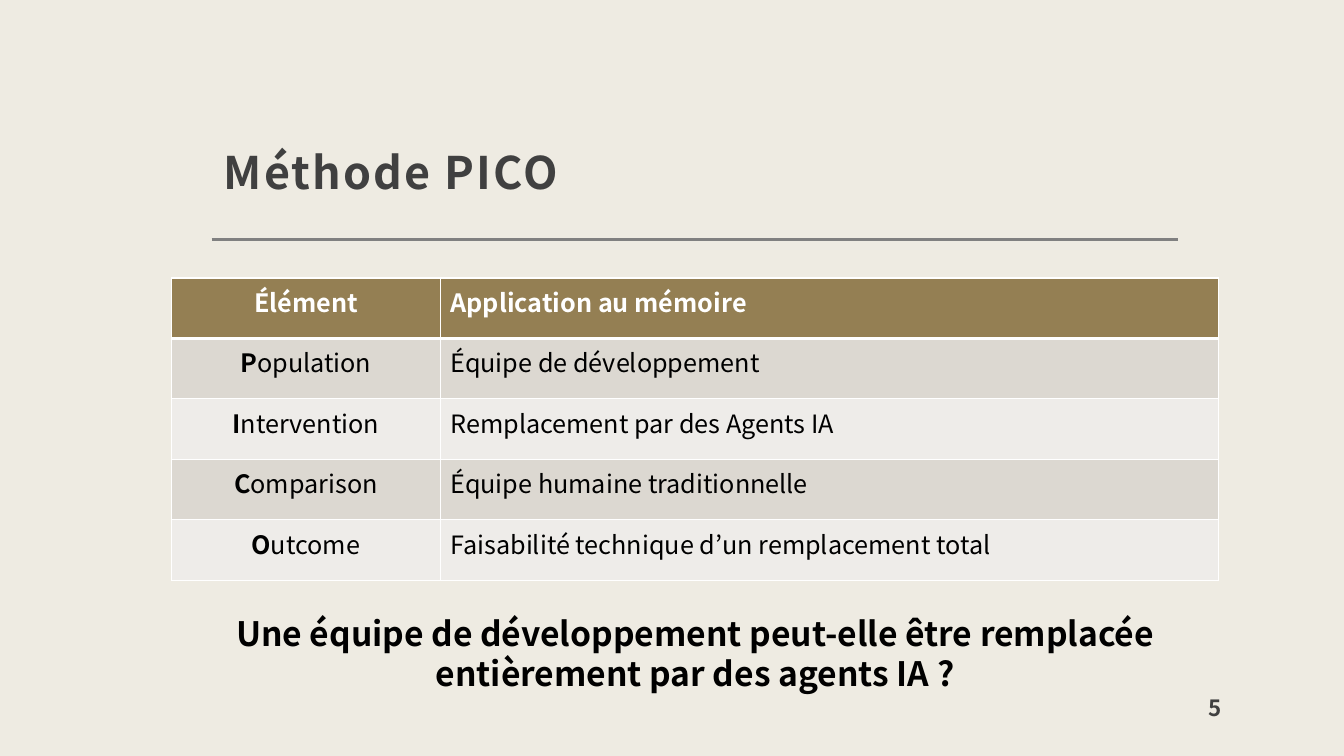
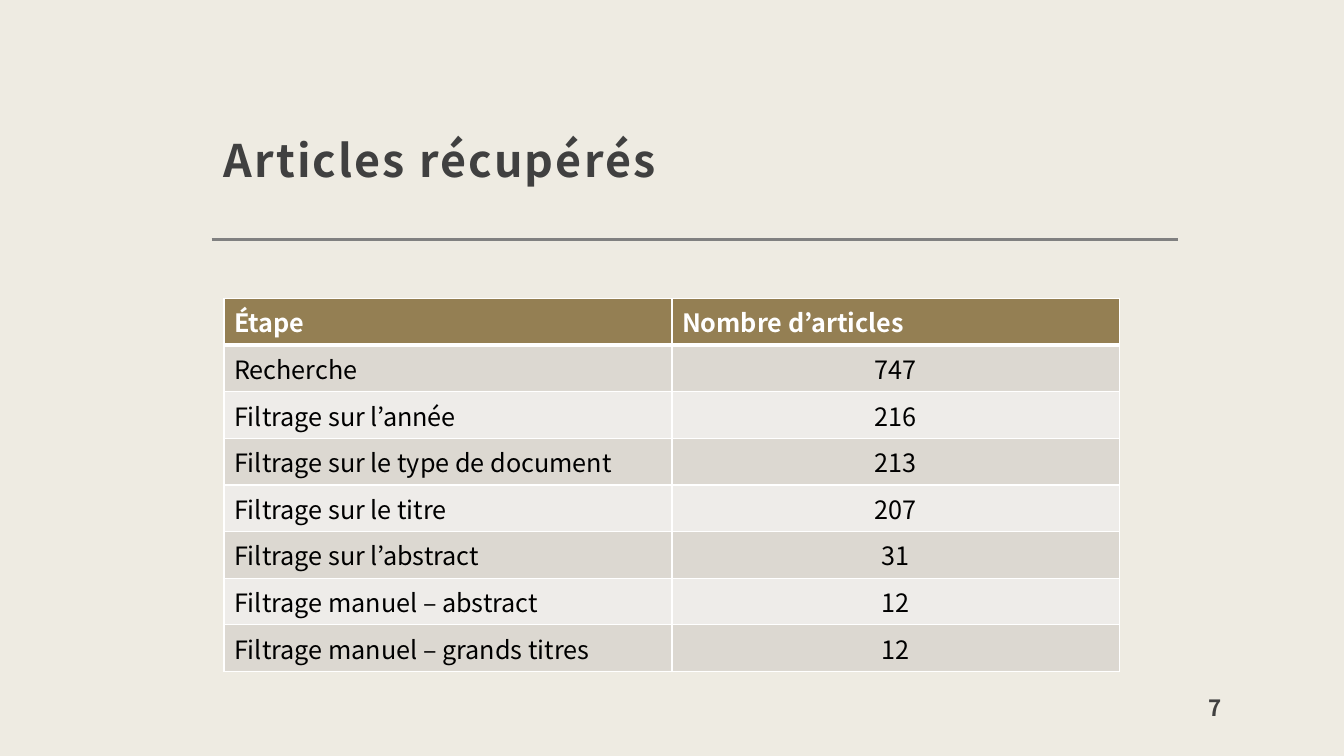
from lxml import etree
from pptx import Presentation, util as u
from pptx.dml.color import RGBColor
from pptx.enum import shapes, text
from pptx.oxml import ns

Pt = u.Pt
HUES = {"page": "EEEBE2", "rule": "808080", "title": "404040", "head": "947F53",
        "odd": "DCD8D1", "even": "EEECE9", "white": "FFFFFF", "black": "000000"}
FONT = "Noto Sans CJK JP"
LEFT, MID = text.PP_ALIGN.LEFT, text.PP_ALIGN.CENTER
PAD = {"margin_left": Pt(8.64), "margin_top": Pt(8.64),
       "margin_right": Pt(8.64), "margin_bottom": Pt(7.2),
       "vertical_anchor": text.MSO_ANCHOR.BOTTOM}
PICO = [("Élément", "Application au mémoire"),
        ("Population", "Équipe de développement"),
        ("Intervention", "Remplacement par des Agents IA"),
        ("Comparison", "Équipe humaine traditionnelle"),
        ("Outcome", "Faisabilité technique d’un remplacement total")]
STEPS = [("Étape", "Nombre d’articles"),
         ("Recherche", "747"),
         ("Filtrage sur l’année", "216"),
         ("Filtrage sur le type de document", "213"),
         ("Filtrage sur le titre", "207"),
         ("Filtrage sur l’abstract", "31"),
         ("Filtrage manuel – abstract", "12"),
         ("Filtrage manuel – grands titres", "12")]


def hue(name):
    """Return the named colour."""
    return RGBColor.from_string(HUES[name])


def apply(item, style):
    """Set each attribute of the style on the item."""
    for key, value in style.items():
        setattr(item, key, value)


def write(para, words, size, tint, bold=False):
    """Add a styled run to a paragraph."""
    run = para.add_run()
    run.text = words
    apply(run.font, {"name": FONT, "size": Pt(size), "bold": bold})
    run.font.color.rgb = hue(tint)
    return run


def label(slide, box, words, size, tint, frame=None, para=None):
    """Place a bold text box."""
    body = slide.shapes.add_textbox(*map(Pt, box)).text_frame
    apply(body, {"word_wrap": True, **(frame or {})})
    line = body.paragraphs[0]
    apply(line, para or {})
    return write(line, words, size, tint, True)


def border(cell, widths):
    """Draw white cell borders, given widths by side."""
    props = cell._tc.get_or_add_tcPr()
    for spot, (side, width) in enumerate(widths.items()):
        edge = etree.Element(ns.qn("a:ln" + side), w=str(Pt(width)))
        fill = etree.SubElement(edge, ns.qn("a:solidFill"))
        etree.SubElement(fill, ns.qn("a:srgbClr"), val=HUES["white"])
        props.insert(spot, edge)


def grid(slide, box, cols, rows, aligns, lead=False):
    """Place a banded table; lead puts first letters in bold."""
    table = slide.shapes.add_table(len(rows), len(cols), *map(Pt, box)).table
    for col, width in zip(table.columns, cols):
        col.width = Pt(width)
    for r, row in enumerate(rows):
        table.rows[r].height = Pt(box[3] / len(rows))
        band = "odd" if r % 2 else "even"
        for c, words in enumerate(row):
            cell = table.cell(r, c)
            cell.fill.solid()
            cell.fill.fore_color.rgb = hue(band if r else "head")
            border(cell, {"L": 1, "R": 1, "T": 3 if r == 1 else 1,
                          "B": 1 if r else 3})
            para = cell.text_frame.paragraphs[0]
            para.alignment = aligns[c] if r or lead else LEFT
            if not r:
                write(para, words, 18, "white", True)
            elif lead and c == 0:
                write(para, words[0], 18, "black", True)
                write(para, words[1:], 18, "black")
            else:
                write(para, words, 18, "black")


def base(deck, title, top, page):
    """Add a slide with its title, rule and page number."""
    slide = deck.slides.add_slide(deck.slide_layouts[6])
    rule = slide.shapes.add_connector(
        shapes.MSO_CONNECTOR.STRAIGHT, *map(Pt, (151.2, 171.2, 841.7, 171.2)))
    rule.line.color.rgb = hue("rule")
    rule.line.width = Pt(2)
    etree.SubElement(rule._element.spPr, ns.qn("a:effectLst"))
    run = label(slide, (151.2, top, 690.5, 105.8), title, 32, "title",
                PAD, {"line_spacing": 1.3})
    run.font._element.set("spc", "150")
    label(slide, (854.6, 486, 93.6, 36), page, 16, "title", PAD)
    return slide


def method(deck):
    """Build the slide on the method and its question."""
    slide = base(deck, "Méthode PICO", 43.2, "5")
    grid(slide, (122.4, 198.5, 748, 216), (192.2, 555.8), PICO,
         (MID, LEFT), True)
    label(slide, (141.1, 434.2, 710.6, 87),
          "Une équipe de développement peut-elle être remplacée "
          "entièrement par des agents IA ?", 24, "black",
          para={"alignment": MID})


def count(deck):
    """Build the slide on the articles kept at each step."""
    slide = base(deck, "Articles récupérés", 34.6, "7")
    grid(slide, (160, 213.3, 640, 266.4), (320, 320), STEPS, (LEFT, MID))


def main():
    """Build and save the deck."""
    deck = Presentation()
    apply(deck, {"slide_width": Pt(960), "slide_height": Pt(540)})
    back = deck.slide_master.background.fill
    back.solid()
    back.fore_color.rgb = hue("page")
    method(deck)
    count(deck)
    deck.save("out.pptx")


if __name__ == "__main__":
    main()
